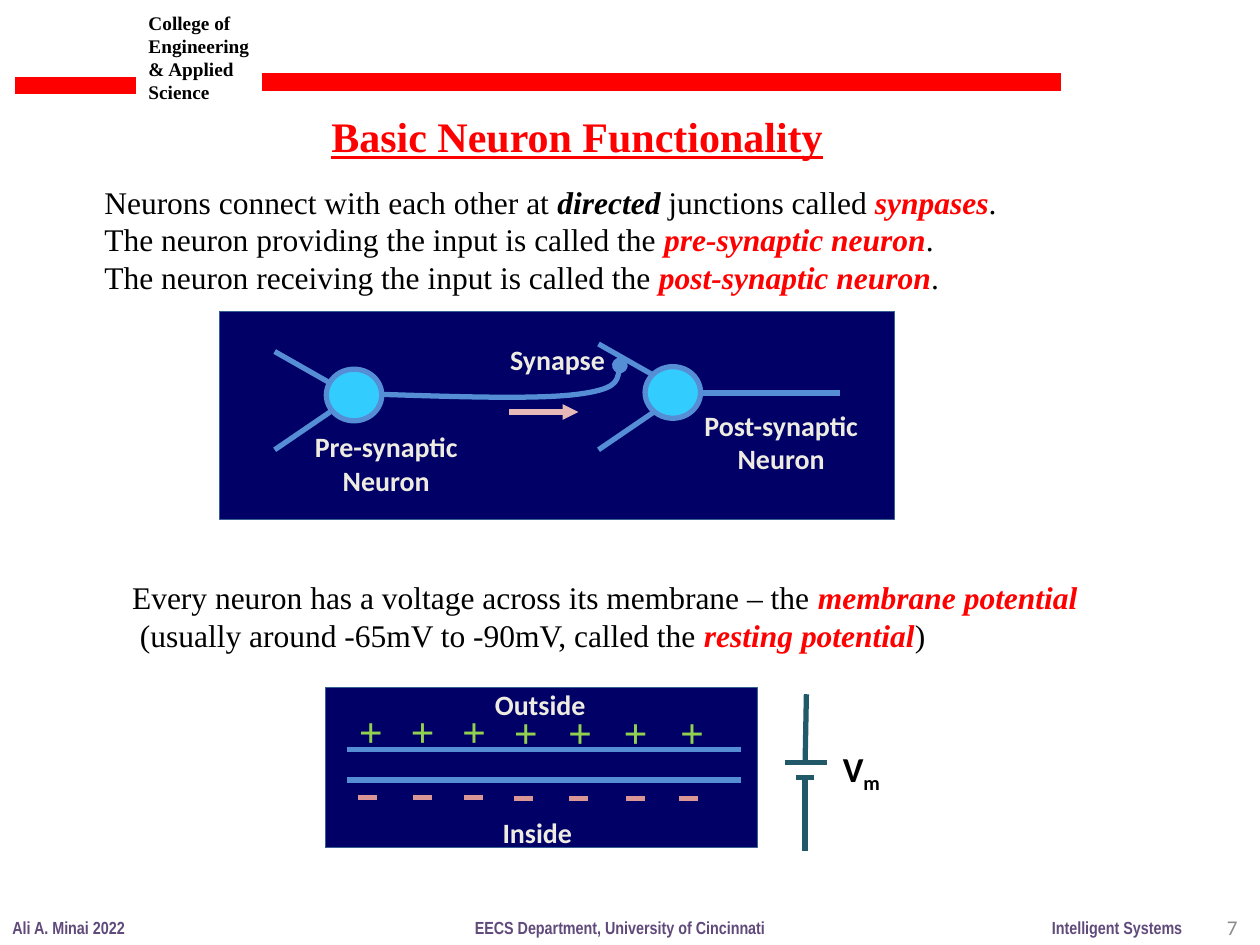
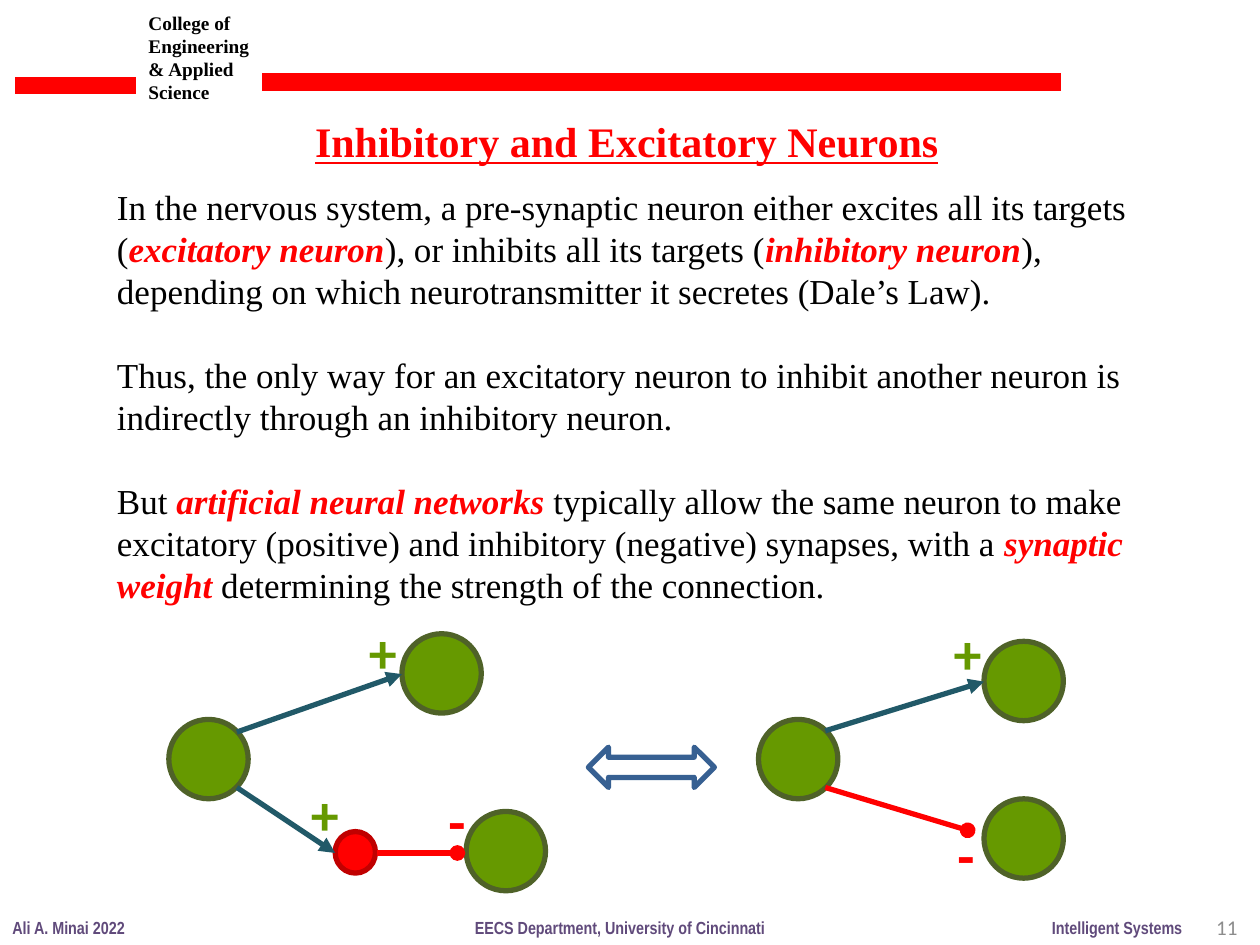
"""Build two lecture slides on neurons and their synapses."""
from lxml.etree import SubElement
from pptx import Presentation
from pptx.dml.color import RGBColor
from pptx.enum.shapes import MSO_CONNECTOR, MSO_SHAPE
from pptx.enum.text import MSO_ANCHOR, MSO_AUTO_SIZE, PP_ALIGN
from pptx.oxml.ns import qn
from pptx.util import Pt

PX = 9144
SERIF, SANS, NARROW = "Times New Roman", "Calibri", "Arial Narrow"
BLACK, RED, PURPLE, GREY = "000000", "FF0000", "604A7B", "8C8C8C"
NAVY, STEEL, CYAN, BLUE, CREAM = "000066", "376092", "33CCFF", "558ED5", "EEECE1"
TEAL, LIME, ROSE, PINK = "215968", "92D050", "D99694", "E6B9B8"
GREEN, OLIVE, CRIMSON = "669900", "4F6228", "C00000"
STRAIGHT, OVAL, RECTANGLE = MSO_CONNECTOR.STRAIGHT, MSO_SHAPE.OVAL, MSO_SHAPE.RECTANGLE
LEFT, CENTER, RIGHT = PP_ALIGN.LEFT, PP_ALIGN.CENTER, PP_ALIGN.RIGHT
rgb = RGBColor.from_string


def write(box, text, font, size, color, bold=False, align=LEFT, wrap=False, gap=0):
    """Fill a box; text between bars is emphasised in red bold italic."""
    frame = box.text_frame
    frame.word_wrap = wrap
    frame.auto_size = MSO_AUTO_SIZE.NONE if wrap else MSO_AUTO_SIZE.SHAPE_TO_FIT_TEXT
    frame.vertical_anchor = MSO_ANCHOR.TOP
    for row, line in enumerate(text.split("\n")):
        para = frame.add_paragraph() if row else frame.paragraphs[0]
        para.alignment = align
        if row and gap:
            para.space_before = Pt(gap)
        for index, words in enumerate(line.split("|")):
            span = para.add_run()
            span.text = words
            emphasis = index % 2 == 1
            span.font.name, span.font.size = font, Pt(size)
            span.font.bold, span.font.italic = bold or emphasis, emphasis
            span.font.color.rgb = rgb(RED if emphasis else color)
    return frame


def style(shape, color, width=3, fill=None, tail=None):
    """Give a shape or connector its line, fill and arrowhead, without a shadow."""
    if fill:
        shape.fill.solid()
        shape.fill.fore_color.rgb = rgb(fill)
    elif hasattr(shape, "fill"):
        shape.fill.background()
    shape.line.color.rgb = rgb(color)
    shape.line.width = Pt(width)
    properties = shape.element.spPr
    if tail:
        SubElement(properties.find(qn("a:ln")), qn("a:tailEnd"), type=tail)
    SubElement(properties, qn("a:effectLst"))


deck = Presentation()
deck.slide_width, deck.slide_height = 1000 * PX, 750 * PX

pages = []
for heading, title_at, number in (
    ("Basic Neuron Functionality", (253, 83, 414, 50), "7"),
    ("Inhibitory and Excitatory Neurons", (240, 87, 520, 50), "11"),
):
    page = deck.slides.add_slide(deck.slide_layouts[5])
    pages.append(page)
    title = page.shapes.title
    title.left, title.top, title.width, title.height = [PX * n for n in title_at]
    frame = write(title, heading, SERIF, 24, RED, bold=True)
    frame.paragraphs[0].runs[0].font.underline = True

    college = page.shapes.add_textbox(*[PX * n for n in (108, 4, 109, 84)])
    write(college, "College of Engineering & Applied\nScience", SERIF, 11, BLACK,
          bold=True, wrap=True)
    for left, right, y in ((12, 108, 68), (208, 842, 65)):
        band = page.shapes.add_connector(STRAIGHT, PX * left, PX * y, PX * right, PX * y)
        style(band, RED, 10)
    for left, width, text in (
        (0, 110, "Ali A. Minai 2022"),
        (825, 124, "Intelligent Systems"),
        (367, 252, "EECS Department, University of Cincinnati"),
    ):
        footer = page.shapes.add_textbox(PX * left, PX * 723, PX * width, PX * 27)
        write(footer, text, NARROW, 10, PURPLE, bold=True)
    page_number = page.shapes.add_textbox(*[PX * n for n in (759, 716, 233, 40)])
    frame = write(page_number, number, SANS, 12, GREY, align=RIGHT, wrap=True)
    frame.vertical_anchor = MSO_ANCHOR.MIDDLE

function_page, types_page = pages

for at in ((258, 546, 343, 127), (174, 247, 536, 165)):
    panel = function_page.shapes.add_shape(RECTANGLE, *[PX * n for n in at])
    style(panel, STEEL, 0.5, NAVY)

junctions = function_page.shapes.add_textbox(*[PX * n for n in (73, 140, 735, 101)])
frame = write(
    junctions,
    "Neurons connect with each other at |directed| junctions called |synpases|.\n"
    "The neuron providing the input is called the |pre-synaptic neuron|.\n"
    "The neuron receiving the input is called the |post-synaptic neuron|.",
    SERIF, 18, BLACK)
frame.paragraphs[0].runs[1].font.color.rgb = rgb(BLACK)

potential = function_page.shapes.add_textbox(*[PX * n for n in (95, 454, 778, 71)])
write(
    potential,
    "Every neuron has a voltage across its membrane – the |membrane potential\n"
    " (usually around -65mV to -90mV, called the |resting potential|)",
    SERIF, 18, BLACK)

for left, top, dendrite_x, upper_y in ((512, 291, 475, 273), (259, 293, 218, 279)):
    soma = function_page.shapes.add_shape(OVAL, PX * left, PX * top, PX * 44, PX * 41)
    style(soma, BLUE, fill=CYAN)
    for start_y, end_y in ((upper_y + 25, upper_y), (327, 357)):
        dendrite = function_page.shapes.add_connector(
            STRAIGHT, PX * (dendrite_x + 44), PX * start_y, PX * dendrite_x, PX * end_y)
        style(dendrite, BLUE)

builder = function_page.shapes.build_freeform(302, 313, scale=PX)
builder.add_line_segments(
    [(364, 315), (426, 317), (458, 313), (489, 309), (491, 300), (492, 290)], close=False)
axon = builder.convert_to_shape()
outline = next(axon.element.iter(qn("a:path")))
segments = outline.findall(qn("a:lnTo"))
for first in (0, 3):
    curve = SubElement(outline, qn("a:cubicBezTo"))
    for segment in segments[first:first + 3]:
        curve.append(segment[0])
        outline.remove(segment)
style(axon, BLUE, tail="oval")

for ends, color, tail in (
    ((557, 312, 667, 312), BLUE, None),
    ((275, 595, 588, 595), BLUE, None),
    ((275, 619, 588, 619), BLUE, None),
    ((640, 551, 639, 605), TEAL, None),
    ((639, 619, 639, 675), TEAL, None),
    ((623, 605, 656, 605), TEAL, None),
    ((632, 617, 646, 617), TEAL, None),
    ((404, 327, 459, 327), PINK, "triangle"),
):
    line = function_page.shapes.add_connector(STRAIGHT, *[PX * n for n in ends])
    style(line, color, tail=tail)

for at, text, align in (
    ((389, 642, 76, 37), "Inside", LEFT),
    ((383, 541, 93, 37), "Outside", LEFT),
    ((239, 336, 135, 64), "Pre-synaptic\nNeuron", CENTER),
    ((548, 319, 144, 64), "Post-synaptic\nNeuron", CENTER),
    ((394, 267, 97, 37), "Synapse", CENTER),
):
    label = function_page.shapes.add_textbox(*[PX * n for n in at])
    write(label, text, SANS, 16, CREAM, bold=True, align=align)

for index, (plus_x, minus_x) in enumerate((
    (275, 284), (316, 328), (357, 368), (398, 408), (441, 452), (485, 497), (530, 539),
)):
    drop = int(index > 2)
    plus = function_page.shapes.add_textbox(PX * plus_x, PX * (555 + drop), PX * 39, PX * 50)
    write(plus, "+", SERIF, 24, LIME, bold=True)
    minus_y = PX * (633 + drop)
    minus = function_page.shapes.add_connector(
        STRAIGHT, PX * minus_x, minus_y, PX * (minus_x + 15), minus_y)
    style(minus, ROSE)

voltage = function_page.shapes.add_textbox(*[PX * n for n in (659, 588, 51, 44)])
frame = write(voltage, "V|m", SANS, 20, BLACK, bold=True)
subscript = frame.paragraphs[0].runs[1].font
subscript.italic = False
subscript.color.rgb = rgb(BLACK)
frame.paragraphs[0].runs[1]._r.get_or_add_rPr().set("baseline", "-25000")

body = types_page.shapes.add_textbox(*[PX * n for n in (83, 142, 835, 347)])
write(
    body,
    "In the nervous system, a pre-synaptic neuron either excites all its targets "
    "(|excitatory neuron|), or inhibits all its targets (|inhibitory neuron|), "
    "depending on which neurotransmitter it secretes (Dale’s Law).\n"
    "Thus, the only way for an excitatory neuron to inhibit another neuron is "
    "indirectly through an inhibitory neuron.\n"
    "But |artificial neural networks |typically allow the same neuron to make "
    "excitatory (positive) and inhibitory (negative) synapses, with a "
    "|synaptic weight |determining the strength of the connection.",
    SERIF, 20, BLACK, wrap=True, gap=24)

for left, top in ((370, 644), (319, 503), (134, 571), (781, 509), (602, 571), (781, 634)):
    neuron = types_page.shapes.add_shape(OVAL, PX * left, PX * top, PX * 63, PX * 63)
    style(neuron, OLIVE, fill=GREEN)
interneuron = types_page.shapes.add_shape(OVAL, *[PX * n for n in (266, 660, 32, 33)])
style(interneuron, CRIMSON, fill=RED)

for ends, color, tail in (
    ((188, 625, 266, 677), TEAL, "triangle"),
    ((188, 581, 319, 535), TEAL, "triangle"),
    ((299, 677, 363, 677), RED, "oval"),
    ((655, 580, 781, 541), TEAL, "triangle"),
    ((655, 625, 768, 659), RED, "oval"),
):
    synapse = types_page.shapes.add_connector(STRAIGHT, *[PX * n for n in ends])
    style(synapse, color, tail=tail)

equivalence = types_page.shapes.add_shape(
    MSO_SHAPE.LEFT_RIGHT_ARROW, *[PX * n for n in (467, 593, 100, 32)])
style(equivalence, STEEL)

for left, top, width, sign, color in (
    (283, 485, 43, "+", GREEN),
    (237, 614, 43, "+", GREEN),
    (747, 486, 43, "+", GREEN),
    (750, 646, 34, "-", RED),
    (346, 619, 34, "-", RED),
):
    weight = types_page.shapes.add_textbox(PX * left, PX * top, PX * width, PX * 64)
    write(weight, sign, SANS, 32, color, bold=True)

deck.save("out.pptx")
